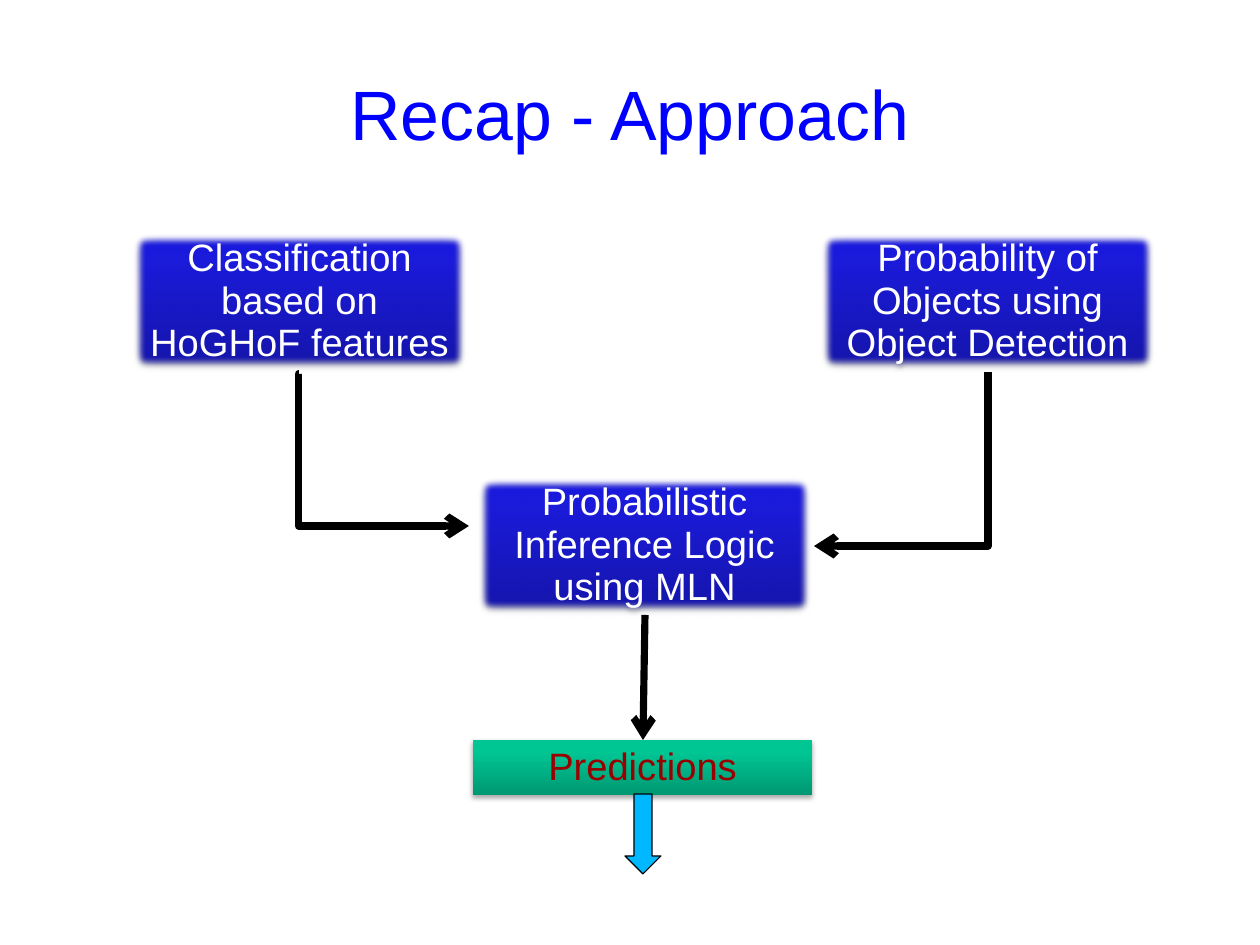
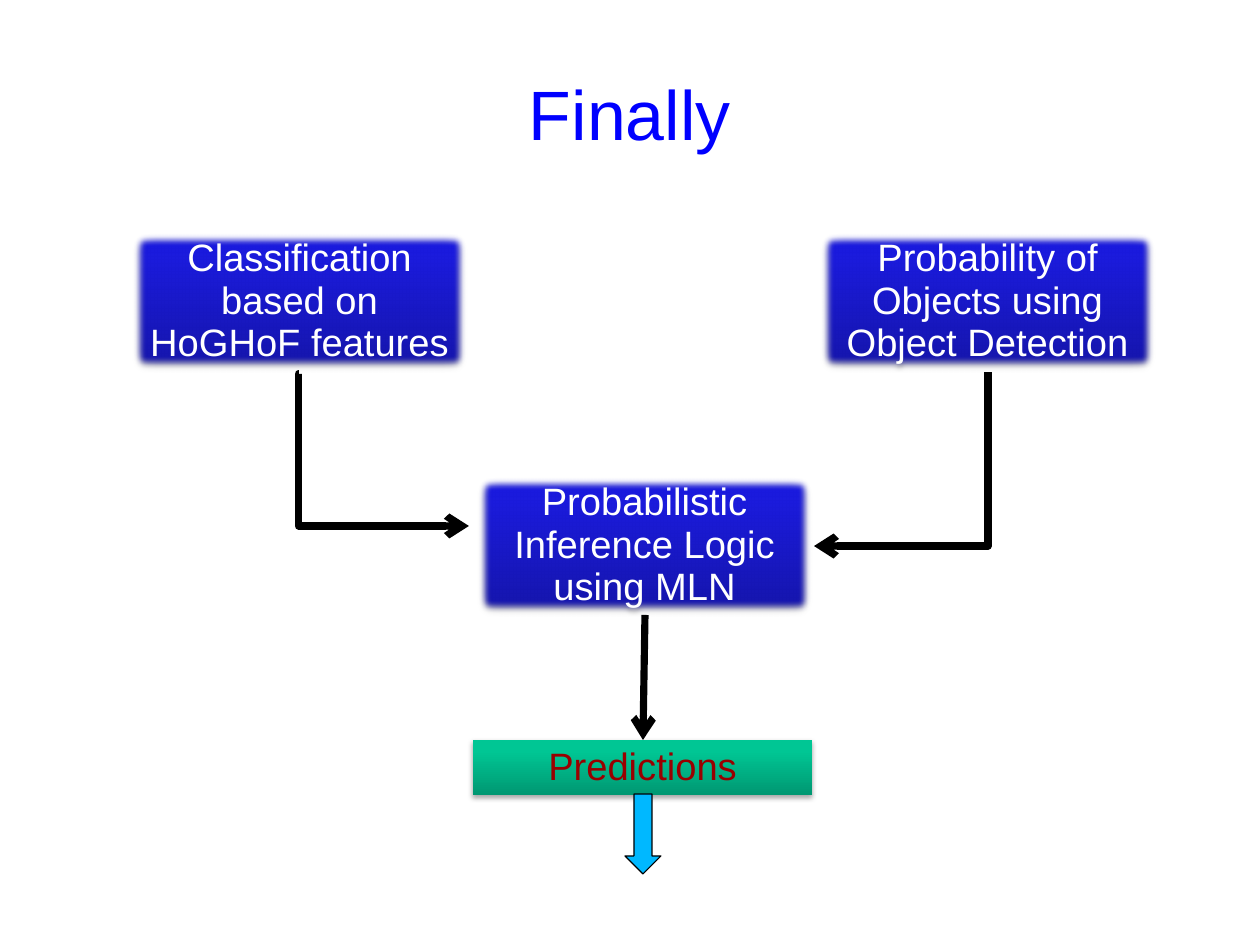
from copy import deepcopy
from dataclasses import dataclass

from lxml.etree import SubElement
from pptx import Presentation
from pptx.dml.color import RGBColor
from pptx.enum.shapes import MSO_CONNECTOR, MSO_SHAPE
from pptx.enum.text import MSO_ANCHOR, MSO_AUTO_SIZE, PP_ALIGN
from pptx.oxml.ns import qn
from pptx.slide import Slide
from pptx.text.text import TextFrame
from pptx.util import Pt

PX = 8000
DEGREE = 60000
STOP_POSITIONS = (0, 0.8, 1)


@dataclass(frozen=True)
class Theme:
    font: str = "Arial"
    title_size: int = 44
    label_size: int = 24
    line_spacing: float = 0.93
    title_color: str = "0000FF"
    step_text: str = "FFFFFF"
    result_text: str = "990000"
    step_gradient: tuple[str, ...] = ("1515A9", "1B1BDC", "1818E1")
    result_gradient: tuple[str, ...] = ("009872", "00C694", "00C795")
    output_fill: str = "00B8FF"
    ink: str = "000000"
    flow_width: float = 4.5
    outline_width: float = 0.75


THEME = Theme()


@dataclass(frozen=True)
class Box:
    label: str
    left: int
    top: int
    height: int = 141
    width: int = 339
    gradient: tuple[str, ...] = THEME.step_gradient
    text_color: str = THEME.step_text
    soft_edge: bool = True


@dataclass(frozen=True)
class Flow:
    start: tuple[int, int]
    end: tuple[int, int]
    preset: str = "line"
    rotation: int = 0
    bend: int | None = None


TITLES = ("Recap - Approach", "Finally")

BOXES = (
    Box("Classification based on HoGHoF features", 130, 231),
    Box("Probability of Objects using Object Detection", 818, 231),
    Box("Predictions", 473, 740, 55, gradient=THEME.result_gradient,
        text_color=THEME.result_text, soft_edge=False),
    Box("Probabilistic Inference Logic using MLN", 475, 475),
)

FLOWS = (
    Flow((299, 374), (469, 526), "bentConnector3", bend=-300),
    Flow((814, 372), (988, 546), "bentConnector2", rotation=90),
    Flow((645, 615), (643, 740)),
)


def write(frame: TextFrame, text: str, size: int, color: str) -> None:
    frame.text = text
    frame.word_wrap = True
    frame.vertical_anchor = MSO_ANCHOR.MIDDLE
    for paragraph in frame.paragraphs:
        paragraph.alignment = PP_ALIGN.CENTER
        paragraph.line_spacing = THEME.line_spacing
        for run in paragraph.runs:
            run.font.name = THEME.font
            run.font.size = Pt(size)
            run.font.color.rgb = RGBColor.from_string(color)


def add_title(slide: Slide, text: str) -> None:
    title = slide.shapes.title
    title.left, title.top, title.width, title.height = (
        n * PX for n in (63, 38, 1134, 158))
    frame = title.text_frame
    frame.margin_left = frame.margin_right = 0
    frame.margin_top = frame.margin_bottom = 0
    frame.auto_size = MSO_AUTO_SIZE.NONE
    write(frame, text, THEME.title_size, THEME.title_color)


def add_box(slide: Slide, box: Box) -> None:
    panel = slide.shapes.add_shape(
        MSO_SHAPE.RECTANGLE, box.left * PX, box.top * PX,
        box.width * PX, box.height * PX)
    panel.line.fill.background()
    properties = panel._element.spPr

    panel.fill.gradient()
    panel.fill.gradient_angle = 90
    stops = properties.find(".//" + qn("a:gsLst"))
    stops.append(deepcopy(stops[0]))
    for stop, color, position in zip(
            panel.fill.gradient_stops, box.gradient, STOP_POSITIONS):
        stop.color.rgb = RGBColor.from_string(color)
        stop.position = position

    panel.shadow.inherit = False
    effects = properties.find(qn("a:effectLst"))
    shadow = SubElement(effects, qn("a:outerShdw"), blurRad="40000",
                        dist="23000", dir=str(90 * DEGREE), rotWithShape="0")
    shade = SubElement(shadow, qn("a:srgbClr"), val=THEME.ink)
    SubElement(shade, qn("a:alpha"), val="35000")
    if box.soft_edge:
        SubElement(effects, qn("a:softEdge"), rad=str(Pt(5)))

    write(panel.text_frame, box.label, THEME.label_size, box.text_color)
    panel.text_frame.auto_size = MSO_AUTO_SIZE.SHAPE_TO_FIT_TEXT


def add_output_arrow(slide: Slide) -> None:
    arrow = slide.shapes.add_shape(
        MSO_SHAPE.DOWN_ARROW, *(n * PX for n in (625, 794, 36, 80)))
    arrow.shadow.inherit = False
    arrow.fill.solid()
    arrow.fill.fore_color.rgb = RGBColor.from_string(THEME.output_fill)
    arrow.line.color.rgb = RGBColor.from_string(THEME.ink)
    arrow.line.width = Pt(THEME.outline_width)


def add_flow(slide: Slide, flow: Flow) -> None:
    connector = slide.shapes.add_connector(
        MSO_CONNECTOR.STRAIGHT, *(n * PX for n in flow.start + flow.end))
    connector.line.color.rgb = RGBColor.from_string(THEME.ink)
    connector.line.width = Pt(THEME.flow_width)
    properties = connector._element.spPr
    SubElement(properties.find(qn("a:ln")), qn("a:tailEnd"), type="arrow")
    SubElement(properties, qn("a:effectLst"))
    geometry = properties.find(qn("a:prstGeom"))
    geometry.set("prst", flow.preset)
    if flow.rotation:
        properties.find(qn("a:xfrm")).set("rot", str(flow.rotation * DEGREE))
    if flow.bend is not None:
        SubElement(geometry.find(qn("a:avLst")), qn("a:gd"),
                   name="adj1", fmla=f"val {flow.bend}")


def main() -> None:
    deck = Presentation()
    deck.slide_width, deck.slide_height = 1260 * PX, 945 * PX
    title_only = deck.slide_layouts[5]
    for title in TITLES:
        slide = deck.slides.add_slide(title_only)
        add_title(slide, title)
        for box in BOXES:
            add_box(slide, box)
        add_output_arrow(slide)
        for flow in FLOWS:
            add_flow(slide, flow)
    deck.save("out.pptx")


if __name__ == "__main__":
    main()
